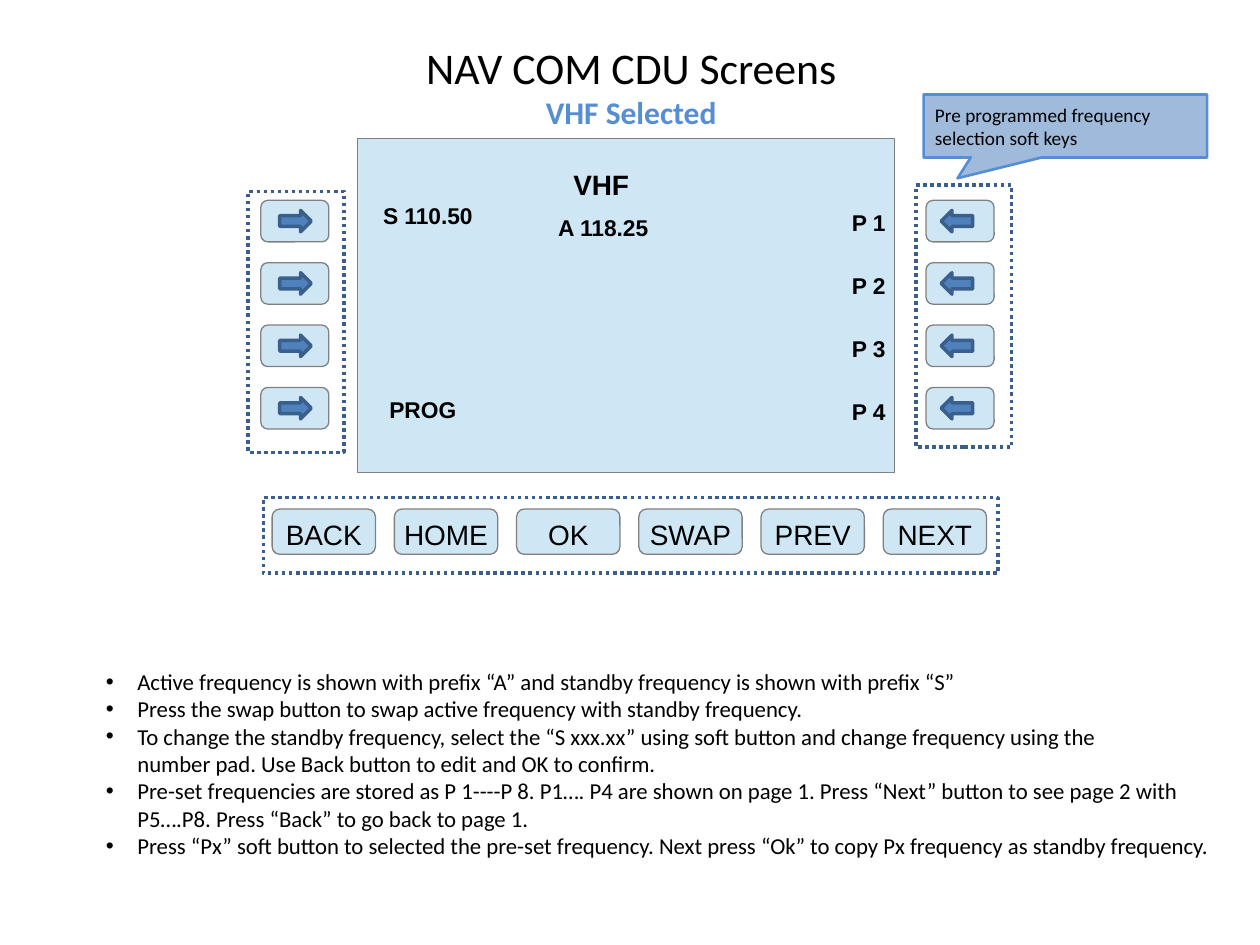
from dataclasses import dataclass

from lxml.etree import SubElement
from pptx import Presentation
from pptx.dml.color import RGBColor
from pptx.enum.dml import MSO_LINE as Dash
from pptx.enum.shapes import MSO_SHAPE as Shape
from pptx.enum.text import MSO_ANCHOR as Anchor, PP_ALIGN as Align
from pptx.oxml.ns import qn
from pptx.util import Inches, Pt

# Content
HEADING = "NAV COM CDU Screens"
MODE = "VHF Selected"
CALLOUT = "Pre programmed frequency selection soft keys"
SCREEN_HEADER = "VHF"
STANDBY, ACTIVE, PROGRAM = "S 110.50", "A 118.25", "PROG"
PRESETS = ["P 1", "P 2", "P 3", "P 4"]
FUNCTION_KEYS = ["BACK", "HOME", "OK", "SWAP", "PREV", "NEXT"]
NOTES = [
    "Active frequency is shown with prefix “A” and standby frequency is shown with prefix “S”",
    "Press the swap button to swap active frequency with standby frequency.",
    "To change the standby frequency, select the “S xxx.xx” using soft button and change "
    "frequency using the\vnumber pad. Use Back button to edit and OK to confirm.",
    "Pre-set frequencies are stored as P 1----P 8. P1…. P4 are shown on page 1. "
    "Press “Next” button to see page 2 with P5….P8. Press “Back” to go back to page 1.",
    "Press “Px” soft button to selected the pre-set frequency. "
    "Next press “Ok” to copy Px frequency as standby frequency.",
]


@dataclass(frozen=True)
class Theme:
    ink: str = "000000"
    panel: str = "CFE7F5"
    panel_edge: str = "808080"
    arrow: str = "4F81BD"
    frame: str = "3A5F8C"
    accent: str = "558ED5"
    prose: str = "Calibri"
    device: str = "Arial"
    heading: float = 25
    mode: float = 18
    key: float = 16
    reading: float = 13
    note: float = 13
    callout: float = 11


THEME = Theme()

# Grid, in inches
SLIDE_W, SLIDE_H = 10, 7.5
SOFT_ROW_TOP, SOFT_PITCH = 1.59, 0.495
SOFT_W, SOFT_H = 0.54, 0.33
ARROW_W, ARROW_H = 0.25, 0.17
KEY_LEFT, KEY_TOP, KEY_PITCH = 2.16, 4.04, 0.97
KEY_W, KEY_H = 0.82, 0.36
# Each soft-key column: key left, arrow left, arrow shape, frame box
SOFT_COLUMNS = [
    (2.07, 2.22, Shape.RIGHT_ARROW, (1.97, 1.52, 0.76, 2.07)),
    (7.35, 7.47, Shape.LEFT_ARROW, (7.27, 1.47, 0.76, 2.08)),
]
KEY_FRAME = (2.09, 3.95, 5.83, 0.6)

deck = Presentation()
deck.slide_width, deck.slide_height = Inches(SLIDE_W), Inches(SLIDE_H)
slide = deck.slides.add_slide(deck.slide_layouts[6])


def add_part(kind, box, fill=None, edge=THEME.panel_edge, weight=0, dash=None):
    part = slide.shapes.add_shape(kind, *map(Inches, box))
    part.shadow.inherit = False
    if fill:
        part.fill.solid()
        part.fill.fore_color.rgb = RGBColor.from_string(fill)
    else:
        part.fill.background()
    part.line.color.rgb = RGBColor.from_string(edge)
    part.line.width = Pt(weight)
    if dash:
        part.line.dash_style = dash
    return part


def add_key(box):
    key = add_part(Shape.ROUNDED_RECTANGLE, box, THEME.panel)
    key.adjustments[0] = 0.17
    return key


def add_frame(box):
    add_part(Shape.RECTANGLE, box, edge=THEME.frame, weight=2, dash=Dash.ROUND_DOT)


def write(part, lines, font, size, color=THEME.ink, bold=False, align=Align.LEFT,
          anchor=Anchor.TOP, wrap=True, inset=0.05):
    frame = part.text_frame
    frame.word_wrap = wrap
    frame.vertical_anchor = anchor
    frame.margin_left = frame.margin_right = Inches(0.09)
    frame.margin_top, frame.margin_bottom = Inches(inset), Inches(0.04)
    frame.text = "\n".join(lines)
    for paragraph in frame.paragraphs:
        paragraph.alignment = align
        for run in paragraph.runs:
            run.font.name, run.font.size, run.font.bold = font, Pt(size), bold
            run.font.color.rgb = RGBColor.from_string(color)
    return frame


def add_text(box, lines, font, size, **style):
    return write(slide.shapes.add_textbox(*map(Inches, box)), lines, font, size, **style)


# Title
title = add_text((0.51, 0.25, 9, 1.25), [HEADING, MODE], THEME.prose, THEME.heading,
                 align=Align.CENTER, inset=0.07)
mode = title.paragraphs[1].runs[0].font
mode.size, mode.bold = Pt(THEME.mode), True
mode.color.rgb = RGBColor.from_string(THEME.accent)

# Display screen and its readings
add_part(Shape.RECTANGLE, (2.84, 1.1, 4.26, 2.65), THEME.panel)
add_text((4.46, 1.29, 0.63, 0.35), [SCREEN_HEADER], THEME.device, THEME.key,
         bold=True, wrap=False, inset=0.04)
readings = [
    (STANDBY, 2.95, 1.56, 0.9),
    (ACTIVE, 4.34, 1.66, 0.95),
    (PROGRAM, 3, 3.1, 0.72),
] + [(preset, 6.67, 1.62 + row * 0.5, 0.45) for row, preset in enumerate(PRESETS)]
for reading, left, top, width in readings:
    add_text((left, top, width, 0.3), [reading], THEME.device, THEME.reading,
             bold=True, wrap=False, inset=0.04)

# Soft keys on both sides of the screen
for key_left, arrow_left, arrow, frame_box in SOFT_COLUMNS:
    add_frame(frame_box)
    for row in range(len(PRESETS)):
        top = SOFT_ROW_TOP + row * SOFT_PITCH
        add_key((key_left, top, SOFT_W, SOFT_H))
        add_part(arrow, (arrow_left, top + (SOFT_H - ARROW_H) / 2, ARROW_W, ARROW_H),
                 THEME.arrow, THEME.frame, 2)

# Function keys below the screen
add_frame(KEY_FRAME)
for column, label in enumerate(FUNCTION_KEYS):
    key = add_key((KEY_LEFT + column * KEY_PITCH, KEY_TOP, KEY_W, KEY_H))
    write(key, [label], THEME.device, THEME.key, align=Align.CENTER,
          anchor=Anchor.MIDDLE, wrap=False, inset=0.08)

# Operating notes
notes = add_text((0.75, 5.25, 8.98, 1.84), NOTES, THEME.prose, THEME.note)
for note in notes.paragraphs:
    properties = note._p.get_or_add_pPr()
    properties.set("marL", str(Inches(0.25)))
    properties.set("indent", str(-Inches(0.25)))
    SubElement(properties, qn("a:buFont"), typeface=THEME.device)
    SubElement(properties, qn("a:buChar"), char="•")

# Callout to the preset keys
callout = add_part(Shape.RECTANGULAR_CALLOUT, (7.33, 0.75, 2.25, 0.5),
                   THEME.arrow, THEME.accent, 1.5)
callout.adjustments[0], callout.adjustments[1] = -0.38, 0.83
tint = callout._element.spPr.find(qn("a:solidFill"))[0]
SubElement(tint, qn("a:alpha"), val="54000")
write(callout, [CALLOUT], THEME.prose, THEME.callout, anchor=Anchor.MIDDLE)

deck.save("out.pptx")
